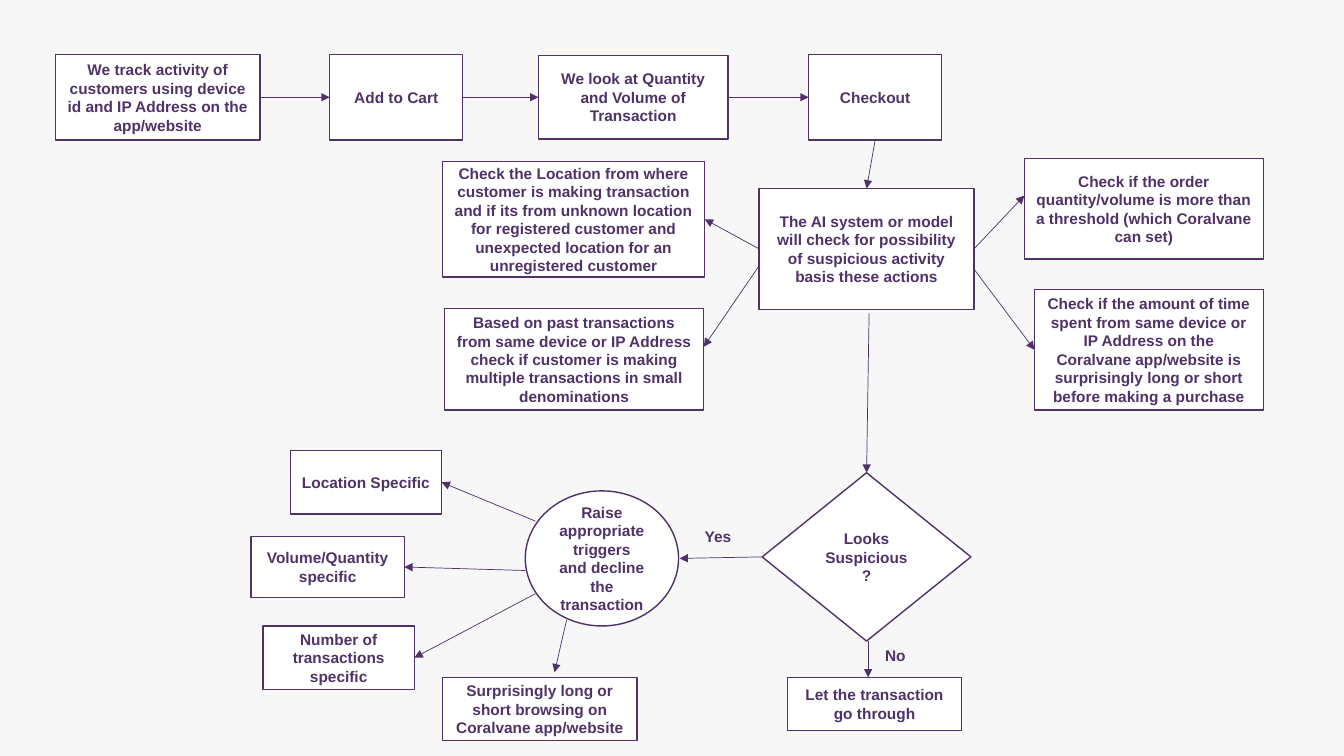
import dataclasses

import lxml.etree
import pptx
import pptx.dml.color
import pptx.enum.shapes
import pptx.enum.text
import pptx.oxml.ns
import pptx.util

Inches = pptx.util.Inches
SHAPES = pptx.enum.shapes.MSO_SHAPE
PURPLE = pptx.dml.color.RGBColor(0x4F, 0x32, 0x67)
WHITE = pptx.dml.color.RGBColor(0xFF, 0xFF, 0xFF)
PALE_GREY = pptx.dml.color.RGBColor(0xF7, 0xF7, 0xF7)
FONT = {"name": "Arial", "size": pptx.util.Pt(11), "bold": True}
NODE_FRAME = {"word_wrap": True, "vertical_anchor": pptx.enum.text.MSO_ANCHOR.MIDDLE}
LABEL_FRAME = {"word_wrap": True}
TOP, LEFT, BOTTOM, RIGHT = range(4)


@dataclasses.dataclass
class Box:
    """A region of the slide, in inches."""
    left: float
    top: float
    width: float
    height: float

    def at(self, x, y):
        return self.left + x, self.top + y


def apply_format(target, values):
    for name, value in values.items():
        setattr(target, name, value)


def write_text(shape, text, frame_format, alignment):
    apply_format(shape.text_frame, frame_format)
    paragraph = shape.text_frame.paragraphs[0]
    paragraph.alignment = alignment
    run = paragraph.add_run()
    run.text = text
    apply_format(run.font, FONT)
    run.font.color.rgb = PURPLE


def add_node(slide, corner, size, text, kind=SHAPES.RECTANGLE):
    shape = slide.shapes.add_shape(kind, *map(Inches, (*corner, *size)))
    shape.shadow.inherit = False
    shape.fill.solid()
    shape.fill.fore_color.rgb = WHITE
    shape.line.color.rgb = PURPLE
    shape.line.width = pptx.util.Pt(1)
    write_text(shape, text, NODE_FRAME, pptx.enum.text.PP_ALIGN.CENTER)
    return shape


def add_label(slide, corner, text):
    label = slide.shapes.add_textbox(*map(Inches, (*corner, 0.51, 0.29)))
    write_text(label, text, LABEL_FRAME, pptx.enum.text.PP_ALIGN.LEFT)


def add_arrow(slide, start, end):
    """Draw an arrow; each end is an (x, y) point or a (shape, side) pair."""
    joined = [not isinstance(tip[0], (int, float)) for tip in (start, end)]
    points = [(0, 0) if join else tip for join, tip in zip(joined, (start, end))]
    arrow = slide.shapes.add_connector(
        pptx.enum.shapes.MSO_CONNECTOR.STRAIGHT, *map(Inches, (*points[0], *points[1])))
    for join, tip, connect in zip(joined, (start, end),
                                  (arrow.begin_connect, arrow.end_connect)):
        if join:
            connect(*tip)
    arrow.line.color.rgb = PURPLE
    arrow.line.width = pptx.util.Pt(0.5)
    line = arrow.line._get_or_add_ln()
    lxml.etree.SubElement(line, pptx.oxml.ns.qn("a:tailEnd"), type="triangle")
    lxml.etree.SubElement(arrow._element.spPr, pptx.oxml.ns.qn("a:effectLst"))


def add_purchase_steps(slide, box):
    """Place the top row of steps and return the last one."""
    steps = [
        (0, 2.03, 0.85, "We track activity of customers using device id and "
                        "IP Address on the app/website"),
        (2.72, 1.32, 0.85, "Add to Cart"),
        (4.79, 1.88, 0.83, "We look at Quantity and Volume of Transaction"),
        (7.47, 1.32, 0.85, "Checkout"),
    ]
    previous = None
    for x, width, height, text in steps:
        step = add_node(slide, box.at(x, (box.height - height) / 2), (width, height), text)
        if previous is not None:
            add_arrow(slide, (previous, RIGHT), (step, LEFT))
        previous = step
    return previous


def add_suspicion_checks(slide, box, checkout):
    """Place the model with two checks on each side of it."""
    model = add_node(slide, box.at(3.14, 0.3), (2.13, 1.2),
                     "The AI system or model will check for possibility of "
                     "suspicious activity basis these actions")
    location = add_node(slide, box.at(0, 0.03), (2.6, 1.15),
                        "Check the Location from where customer is making transaction "
                        "and if its from unknown location for registered customer and "
                        "unexpected location for an unregistered customer")
    add_node(slide, box.at(0.02, box.height - 1.01), (2.57, 1.01),
             "Based on past transactions from same device or IP Address check if "
             "customer is making multiple transactions in small denominations")
    add_node(slide, box.at(box.width - 2.37, 0), (2.37, 1),
             "Check if the order quantity/volume is more than a threshold "
             "(which Coralvane can set)")
    duration = add_node(slide, box.at(box.width - 2.27, box.height - 1.2), (2.27, 1.2),
                        "Check if the amount of time spent from same device or IP Address "
                        "on the Coralvane app/website is surprisingly long or short "
                        "before making a purchase")
    add_arrow(slide, (checkout, BOTTOM), (model, TOP))
    add_arrow(slide, (model, LEFT), (location, RIGHT))
    add_arrow(slide, box.at(3.13, 1.08), box.at(2.59, 1.87))
    add_arrow(slide, (model, RIGHT), box.at(box.width - 2.37, 0.37))
    add_arrow(slide, box.at(5.27, 1.1), (duration, LEFT))


def add_decision(slide, box):
    """Place the yes/no decision, with its entry arrow from above."""
    size = 2.07, 1.67
    decision = add_node(slide, box.at(box.width - size[0], 0), size,
                        "Looks Suspicious?", SHAPES.DIAMOND)
    add_node(slide, box.at(1.07, box.height - 0.53), (1.73, 0.53),
             "Let the transaction go through")
    add_label(slide, box.at(0.15, 0.49), "Yes")
    add_label(slide, box.at(1.94, size[1]), "No")
    add_arrow(slide, box.at(1.88, -1.58), (decision, TOP))
    add_arrow(slide, (decision, LEFT), box.at(0, 0.85))
    add_arrow(slide, box.at(1.87, size[1]), box.at(1.87, box.height - 0.53))


def add_triggers(slide, box):
    """Place the decline step and the triggers around it."""
    add_node(slide, box.at(box.width - 1.52, 0.4), (1.52, 1.34),
             "Raise appropriate triggers and decline the transaction", SHAPES.OVAL)
    triggers = [
        ((0.39, 0), (1.5, 0.63), "Location Specific", (2.82, 0.7)),
        ((0, 0.85), (1.52, 0.61), "Volume/Quantity specific", (2.72, 1.19)),
        ((0.12, 1.74), (1.5, 0.63), "Number of transactions specific", (2.82, 1.42)),
    ]
    for corner, size, text, source in triggers:
        trigger = add_node(slide, box.at(*corner), size, text)
        add_arrow(slide, box.at(*source), (trigger, RIGHT))
    add_node(slide, box.at(1.9, box.height - 0.63), (1.93, 0.63),
             "Surprisingly long or short browsing on Coralvane app/website")
    add_arrow(slide, box.at(3.13, 1.68), box.at(3.01, 2.2))


def main():
    presentation = pptx.Presentation()
    presentation.slide_width = Inches(13.33)
    presentation.slide_height = Inches(7.5)
    slide = presentation.slides.add_slide(presentation.slide_layouts[6])
    slide.background.fill.solid()
    slide.background.fill.fore_color.rgb = PALE_GREY
    checkout = add_purchase_steps(slide, Box(0.55, 0.54, 8.79, 0.85))
    add_suspicion_checks(slide, Box(4.39, 1.57, 8.14, 2.5), checkout)
    add_decision(slide, Box(6.74, 4.69, 2.89, 2.56))
    add_triggers(slide, Box(2.49, 4.47, 4.24, 2.88))
    presentation.save("out.pptx")


if __name__ == "__main__":
    main()
